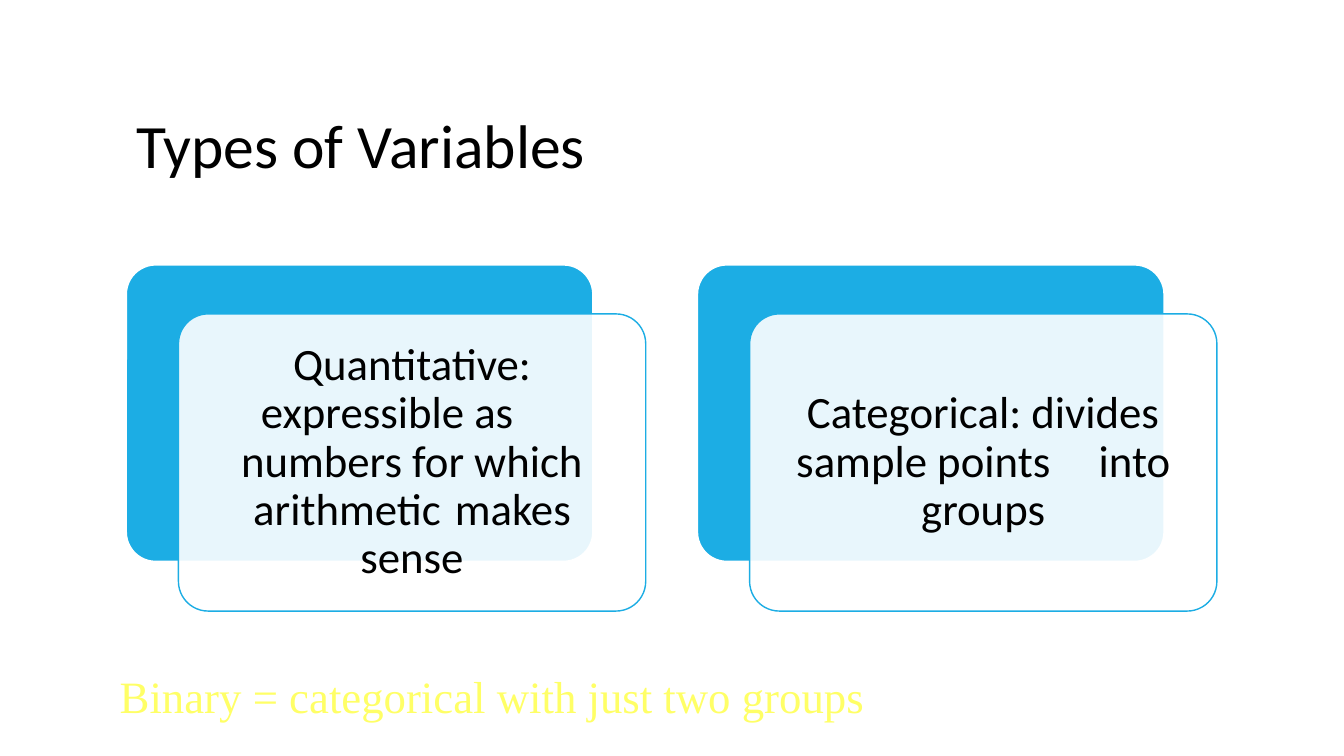
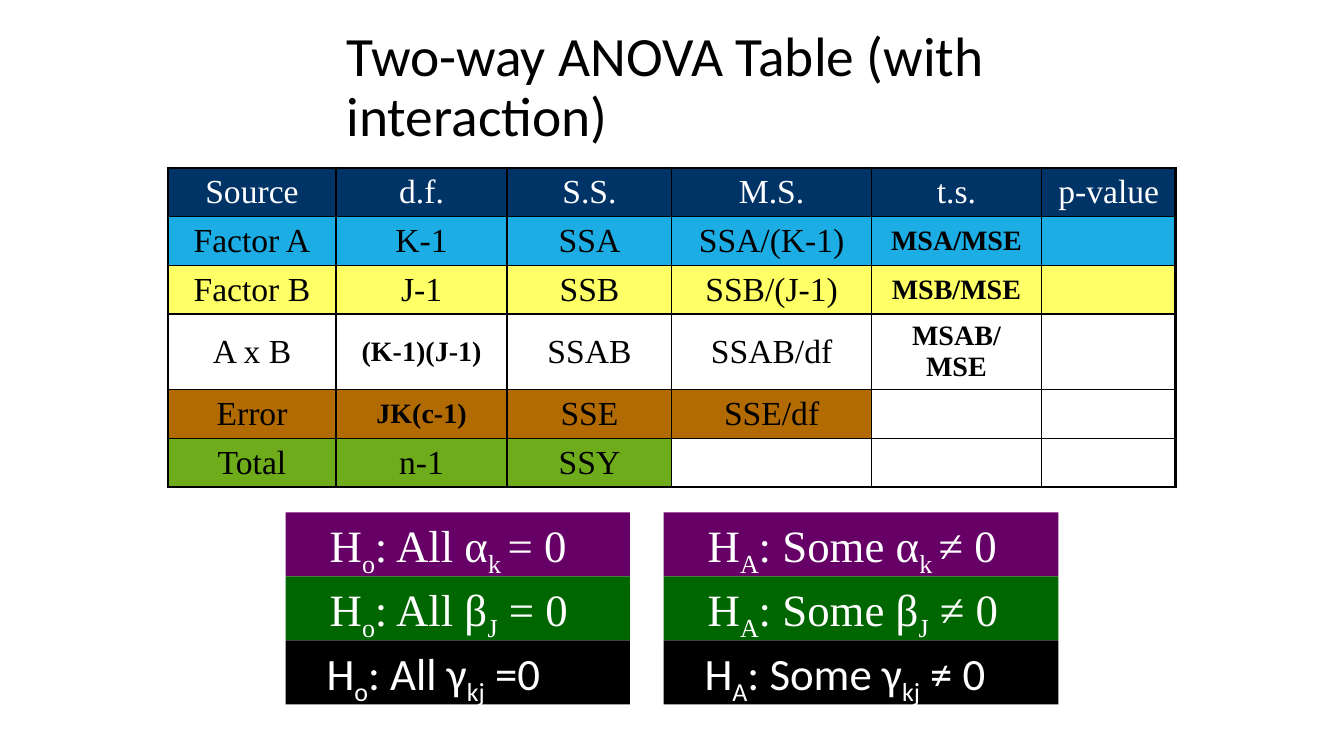
from lxml import etree
from pptx import Presentation
from pptx.dml.color import RGBColor
from pptx.enum.shapes import MSO_SHAPE
from pptx.enum.text import MSO_ANCHOR, PP_ALIGN
from pptx.oxml.ns import qn
from pptx.util import Emu, Pt

RECT = MSO_SHAPE.RECTANGLE
ROUNDED = MSO_SHAPE.ROUNDED_RECTANGLE
TOP, MIDDLE = MSO_ANCHOR.TOP, MSO_ANCHOR.MIDDLE
LEFT, CENTER = PP_ALIGN.LEFT, PP_ALIGN.CENTER

BLACK = RGBColor(0x00, 0x00, 0x00)
WHITE = RGBColor(0xFF, 0xFF, 0xFF)
BLUE = RGBColor(0x1C, 0xAD, 0xE4)
NAVY = RGBColor(0x00, 0x33, 0x66)
YELLOW = RGBColor(0xFF, 0xFF, 0x66)
BROWN = RGBColor(0xB2, 0x6B, 0x02)
LIME = RGBColor(0x6E, 0xAC, 0x1C)
PURPLE = RGBColor(0x66, 0x00, 0x66)
GREEN = RGBColor(0x00, 0x66, 0x00)

SANS, SERIF = "Calibri", "Times New Roman"
EMU_PER_PX = 9525  # 96 px to the inch


def px(length):
    return Emu(length * EMU_PER_PX)


class Deck:
    """Holds the style and the current slide."""

    def __init__(self):
        self.prs = Presentation()
        self.prs.slide_width, self.prs.slide_height = px(1280), px(720)
        self.slide = None

    def new_slide(self):
        self.slide = self.prs.slides.add_slide(self.prs.slide_layouts[6])

    def run(self, paragraph, text, size, font=SANS, color=BLACK, bold=False, sub=False):
        run = paragraph.add_run()
        run.text = text
        run.font.size = Pt(size)
        run.font.name = font
        run.font.color.rgb = color
        run.font.bold = bold
        if sub:
            run.font._element.set("baseline", "-25000")

    def frame(self, holder, anchor=TOP, align=LEFT, spacing=None, margins=(10, 5, 10, 5)):
        """Sets up a text frame and returns its first paragraph."""
        frame = holder.text_frame
        frame.word_wrap = True
        frame.vertical_anchor = anchor
        (frame.margin_left, frame.margin_top,
         frame.margin_right, frame.margin_bottom) = map(px, margins)
        paragraph = frame.paragraphs[0]
        paragraph.alignment = align
        if spacing:
            paragraph.line_spacing = spacing
        return paragraph

    def textbox(self, at, text, size, font=SANS, color=BLACK, **layout):
        box = self.slide.shapes.add_textbox(*map(px, at))
        self.run(self.frame(box, **layout), text, size, font, color)

    def title(self, at, text, size):
        self.textbox(at, text, size, anchor=MIDDLE, spacing=0.9)

    def shape(self, kind, at, fill, line=None, line_width=1, opacity=100):
        shape = self.slide.shapes.add_shape(kind, *map(px, at))
        shape.shadow.inherit = False
        shape.fill.solid()
        shape.fill.fore_color.rgb = fill
        if opacity < 100:
            color = shape.element.spPr.find(qn("a:solidFill"))[0]
            etree.SubElement(color, qn("a:alpha"), val=str(opacity * 1000))
        if line is None:
            shape.line.fill.background()
        else:
            shape.line.color.rgb = line
            shape.line.width = Pt(line_width)
        if kind == ROUNDED:
            shape.adjustments[0] = 0.1
        return shape

    def card(self, left, top, text):
        """A blue plate with a translucent text panel set off from it."""
        width, height = 445, 283
        self.shape(ROUNDED, (left, top, width, height), BLUE, WHITE, 1.5)
        panel = self.shape(ROUNDED, (left + 50, top + 47, width, height),
                           WHITE, BLUE, opacity=90)
        paragraph = self.frame(panel, MIDDLE, CENTER, 0.9, (13, 13, 13, 13))
        self.run(paragraph, text, 32)

    def hypothesis(self, at, fill, font, indent, parts):
        """A band whose parts alternate between normal and subscript."""
        band = self.shape(RECT, at, fill)
        paragraph = self.frame(band, margins=(indent, 5, 10, 5))
        for index, part in enumerate(parts):
            self.run(paragraph, part, 32, font, WHITE, sub=index % 2 == 1)

    def cell_border(self, cell, side, width):
        line = etree.SubElement(cell._tc.get_or_add_tcPr(), qn("a:" + side),
                                w=str(Pt(width)))
        fill = etree.SubElement(line, qn("a:solidFill"))
        etree.SubElement(fill, qn("a:srgbClr"), val=str(BLACK))

    def table(self, left, top, widths, heights, rows, row_fills, small_cells):
        """Rows are filled as far as they have text, or fully if full is set."""
        at = (left, top, sum(widths), sum(heights))
        table = self.slide.shapes.add_table(len(rows), len(widths), *map(px, at)).table
        for column, width in zip(table.columns, widths):
            column.width = px(width)
        last_row, last_col = len(rows) - 1, len(widths) - 1
        for r, (texts, (fill, filled_columns)) in enumerate(zip(rows, row_fills)):
            table.rows[r].height = px(heights[r])
            for c in range(len(widths)):
                cell = table.cell(r, c)
                edges = {"lnL": c == 0, "lnR": c == last_col,
                         "lnT": r == 0, "lnB": r == last_row}
                for side, outer in edges.items():
                    self.cell_border(cell, side, 2.25 if outer else 1)
                cell.fill.solid()
                cell.fill.fore_color.rgb = fill if c < filled_columns else WHITE
                cell.vertical_anchor = MIDDLE
                cell.margin_left = cell.margin_right = px(11)
                cell.margin_top = cell.margin_bottom = px(4)
                if c < len(texts):
                    small = texts[c] in small_cells
                    paragraph = cell.text_frame.paragraphs[0]
                    paragraph.alignment = CENTER
                    self.run(paragraph, texts[c], 20 if small else 24, SERIF,
                             WHITE if r == 0 else BLACK, bold=small)


def variable_types(deck):
    deck.new_slide()
    deck.title((120, 64, 1040, 155), "Types of Variables", 44)
    deck.textbox((104, 632, 800, 61), "Binary = categorical with just two groups",
                 32, SERIF, YELLOW)
    kinds = ("Quantitative: expressible as \tnumbers for which arithmetic \tmakes sense",
             "Categorical: divides sample points \tinto groups")
    for index, kind in enumerate(kinds):
        deck.card(120 + index * 544, 252, kind)


def anova_table(deck):
    deck.new_slide()
    deck.title((320, 24, 680, 120), "Two-way ANOVA Table (with interaction)", 39.6)

    # Sources of variation
    sources = [
        ("Source", "d.f.", "S.S.", "M.S.", "t.s.", "p-value"),
        ("Factor A", "K-1", "SSA", "SSA/(K-1)", "MSA/MSE"),
        ("Factor B", "J-1", "SSB", "SSB/(J-1)", "MSB/MSE"),
        ("A x B", "(K-1)(J-1)", "SSAB", "SSAB/df", "MSAB/MSE"),
        ("Error", "JK(c-1)", "SSE", "SSE/df"),
        ("Total", "n-1", "SSY"),
    ]
    row_fills = [(NAVY, 6), (BLUE, 6), (YELLOW, 6), (WHITE, 6), (BROWN, 4), (LIME, 3)]
    small_cells = {"MSA/MSE", "MSB/MSE", "MSAB/MSE", "(K-1)(J-1)", "JK(c-1)"}
    deck.table(160, 160, (160, 163, 157, 190, 162, 128), (45, 45, 45, 69, 45, 45),
               sources, row_fills, small_cells)

    # Null and alternative hypotheses for each effect
    effects = [
        (PURPLE, SERIF, 42, "α", "k ", "{} 0"),
        (GREEN, SERIF, 42, "β", "J", " {} 0"),
        (BLACK, SANS, 39, "γ", "kj", " {} 0"),
    ]
    claims = [(272, 328, "o", "All", "="), (632, 376, "A", "Some", "≠")]
    for left, width, mark, amount, relation in claims:
        for row, (fill, font, indent, effect, subscript, ending) in enumerate(effects):
            ending = ending.format(relation)
            if effect == "γ":
                ending = ending.replace("= ", "=")
            deck.hypothesis((left, 488 + row * 61, width, 61), fill, font, indent,
                            ("H", mark, f": {amount} {effect}", subscript, ending))


def main():
    deck = Deck()
    variable_types(deck)
    anova_table(deck)
    deck.prs.save("out.pptx")


if __name__ == "__main__":
    main()
